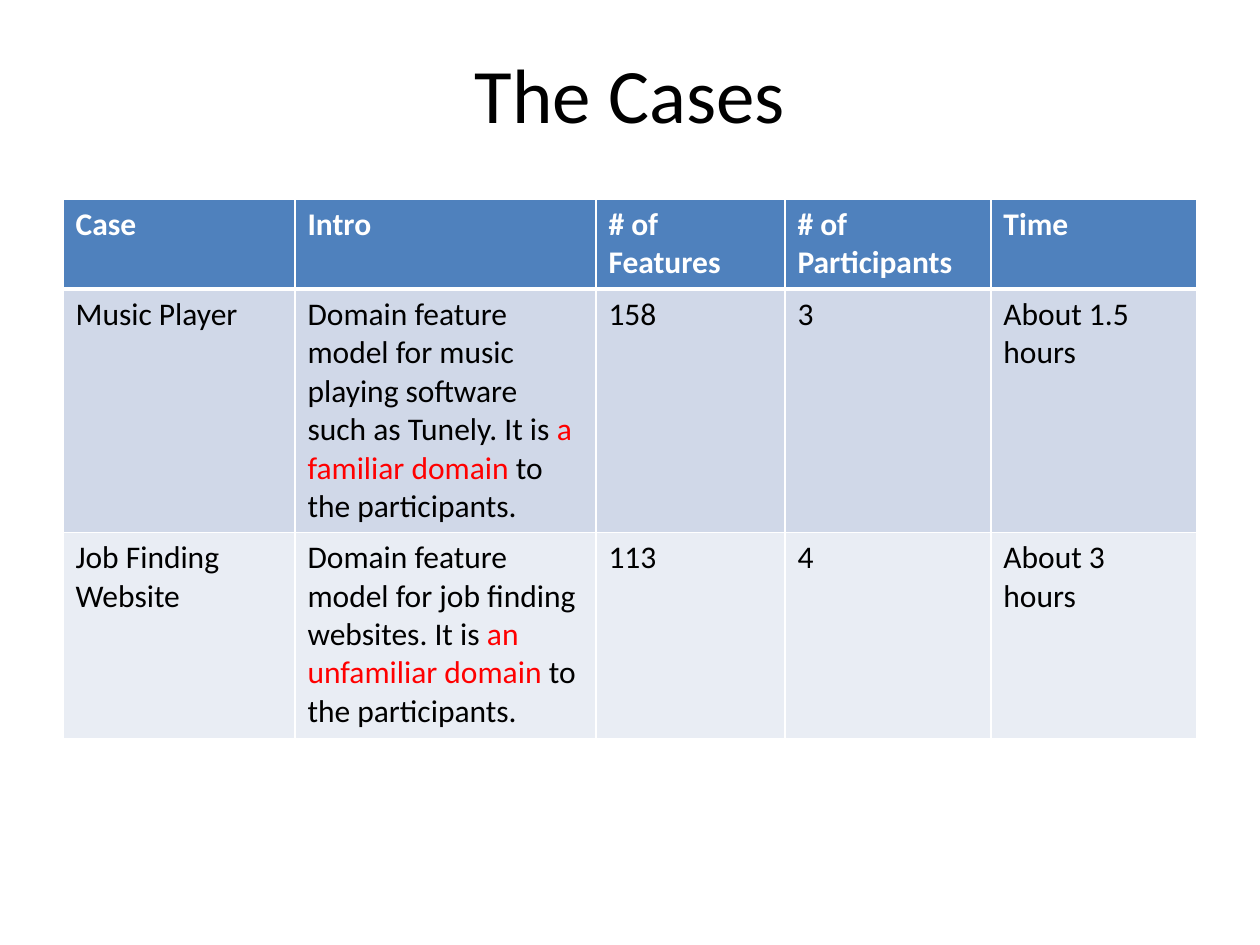
from dataclasses import dataclass

from lxml import etree
from pptx import Presentation
from pptx import util as u
from pptx.dml.color import RGBColor
from pptx.enum import text
from pptx.oxml.ns import qn

FONT = "Calibri"
BLACK = RGBColor(0x00, 0x00, 0x00)
WHITE = RGBColor(0xFF, 0xFF, 0xFF)
RED = RGBColor(0xFF, 0x00, 0x00)
BLUE = RGBColor(0x4F, 0x81, 0xBD)
DARK = RGBColor(0xD0, 0xD8, 0xE8)
LIGHT = RGBColor(0xE9, 0xED, 0xF4)

COLS = (232, 301, 189, 206, 206)
THIN, THICK = 1, 3


@dataclass(frozen=True)
class Run:
    words: str
    color: RGBColor = BLACK
    bold: bool = False
    size: int = 18


@dataclass(frozen=True)
class Row:
    height: int
    fill: RGBColor
    cells: tuple[tuple[Run, ...], ...]
    top: int = THIN
    bottom: int = THIN


def plain(*words: str) -> tuple[tuple[Run, ...], ...]:
    return tuple((Run(word),) for word in words)


HEADS = ("Case", "Intro", "# of Features", "# of Participants", "Time")
MUSIC = (
    Run("Domain feature model for music playing software such as Tunely. It is "),
    Run("a familiar domain", RED),
    Run(" to the participants."),
)
JOBS = (
    Run("Domain feature model for job finding websites. It is "),
    Run("an unfamiliar domain ", RED),
    Run("to the participants."),
)
ROWS = (
    Row(90, BLUE, tuple((Run(head, WHITE, True),) for head in HEADS), bottom=THICK),
    Row(243, DARK, (*plain("Music Player"), MUSIC,
                    *plain("158", "3", "About 1.5 hours")), top=THICK),
    Row(206, LIGHT, (*plain("Job Finding Website"), JOBS,
                     *plain("113", "4", "About 3 hours"))),
)


def px(count: int) -> u.Emu:
    return u.Emu(round(count * 914400 / 126))


def write(frame, runs: tuple[Run, ...]) -> None:
    for item in runs:
        run = frame.paragraphs[0].add_run()
        run.text = item.words
        run.font.name = FONT
        run.font.size = u.Pt(item.size)
        run.font.bold = item.bold
        run.font.color.rgb = item.color


def edge(cell, row: Row) -> None:
    """Draw white borders; they must come before the fill in the cell's XML."""
    props = cell._tc.get_or_add_tcPr()
    sides = (("lnL", THIN), ("lnR", THIN), ("lnT", row.top), ("lnB", row.bottom))
    for place, (tag, width) in enumerate(sides):
        line = etree.Element(qn(f"a:{tag}"), w=str(u.Pt(width)))
        fill = etree.SubElement(line, qn("a:solidFill"))
        etree.SubElement(fill, qn("a:srgbClr"), val=str(WHITE))
        props.insert(place, line)


def add_title(slide) -> None:
    title = slide.shapes.title
    title.left, title.top, title.width, title.height = map(px, (63, 38, 1134, 110))
    frame = title.text_frame
    frame.vertical_anchor = text.MSO_ANCHOR.MIDDLE
    frame.paragraphs[0].alignment = text.PP_ALIGN.CENTER
    write(frame, (Run("The Cases", size=44),))


def add_cases(slide) -> None:
    high = sum(row.height for row in ROWS)
    table = slide.shapes.add_table(
        len(ROWS), len(COLS), px(63), px(199), px(sum(COLS)), px(high)).table
    for col, width in zip(table.columns, COLS):
        col.width = px(width)
    for line, row in zip(table.rows, ROWS):
        line.height = px(row.height)
        for cell, runs in zip(line.cells, row.cells):
            cell.fill.solid()
            cell.fill.fore_color.rgb = row.fill
            edge(cell, row)
            write(cell.text_frame, runs)


def main() -> None:
    deck = Presentation()
    deck.slide_width, deck.slide_height = px(1260), px(945)
    slide = deck.slides.add_slide(deck.slide_layouts[5])
    add_title(slide)
    add_cases(slide)
    deck.save("out.pptx")


if __name__ == "__main__":
    main()
